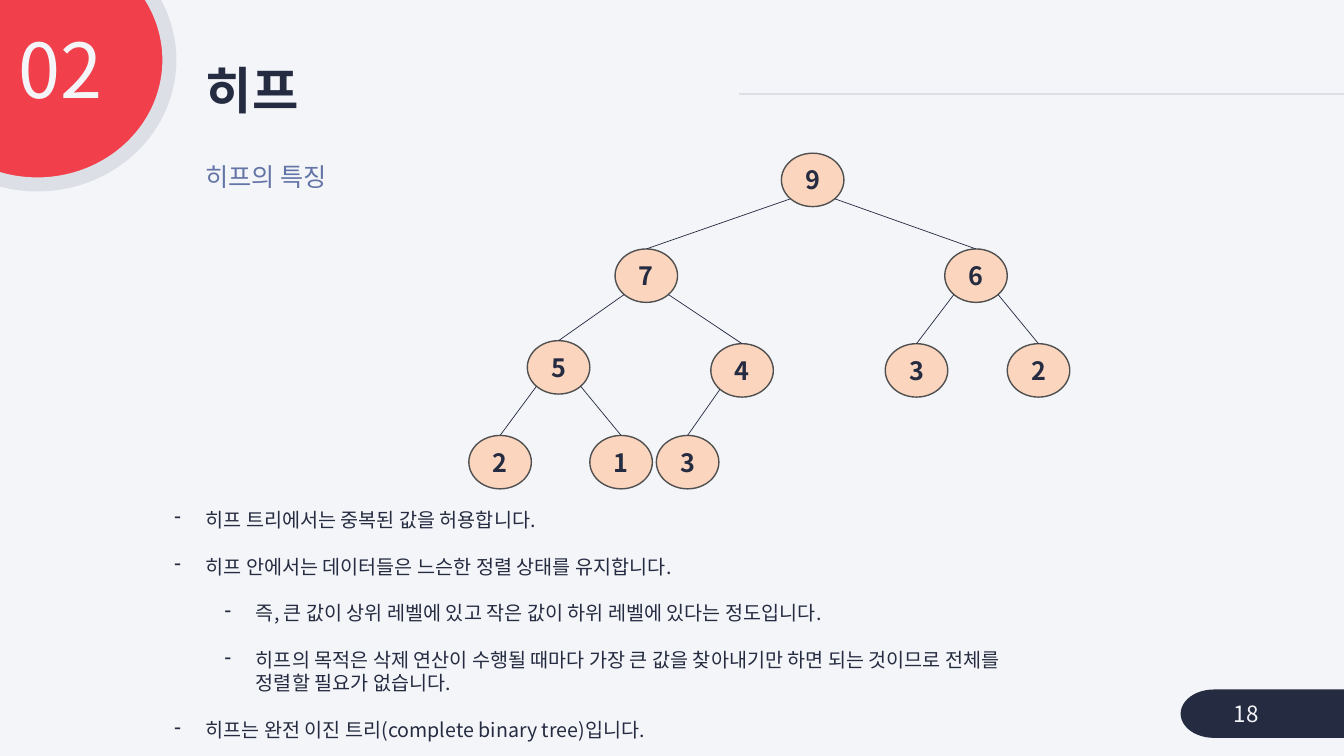
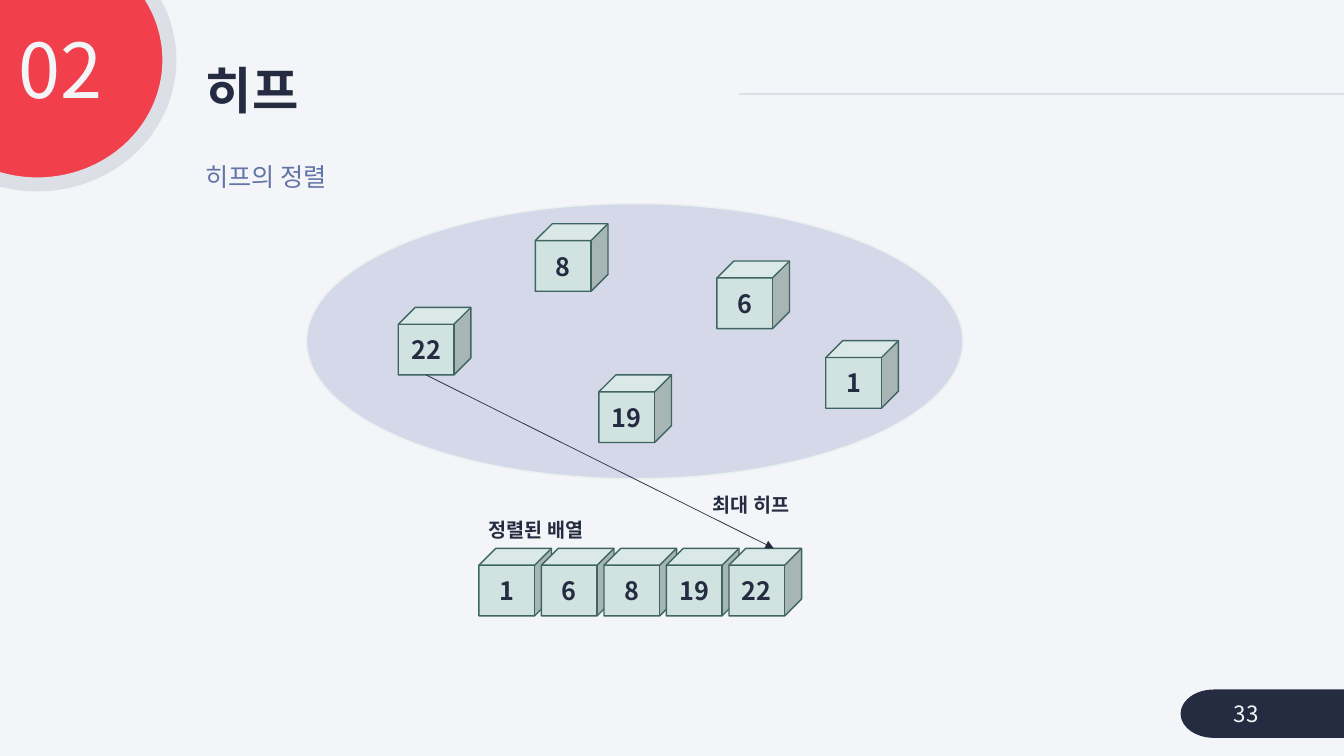
from lxml import etree
from pptx import Presentation
from pptx import util as u
from pptx.dml.color import RGBColor
from pptx.enum import shapes, text
from pptx.oxml import ns

FONT = "Noto Sans CJK KR"
PALE, RED, GRAY, NAVY, BLUE = "F4F5F9", "F1404B", "DDDFE6", "252C41", "6374A6"
PEACH, RIM = "FBD5BD", "505050"
MINT, PINE, LILAC, FROST = "D1E3E1", "3E6561", "D4D8E8", "E8F1F0"
WIDE, HIGH = 13.33, 7.5

KIND = shapes.MSO_SHAPE
LEFT, MID, RIGHT = text.PP_ALIGN.LEFT, text.PP_ALIGN.CENTER, text.PP_ALIGN.RIGHT

# Heap in array order: value, centre x, top y
HEAP = [
    (9, 8.06, 1.52),
    (7, 6.41, 2.47), (6, 9.68, 2.47),
    (5, 5.54, 3.38), (4, 7.36, 3.41), (3, 9.09, 3.41), (2, 10.3, 3.41),
    (2, 4.96, 4.32), (1, 6.16, 4.32), (3, 6.82, 4.32),
]
NODE = (0.62, 0.53)

# Bullets: level, text
NOTES = [
    (0, "히프 트리에서는 중복된 값을 허용합니다."),
    (0, "히프 안에서는 데이터들은 느슨한 정렬 상태를 유지합니다."),
    (1, "즉, 큰 값이 상위 레벨에 있고 작은 값이 하위 레벨에 있다는 정도입니다."),
    (1, "히프의 목적은 삭제 연산이 수행될 때마다 가장 큰 값을 찾아내기만 하면 "
        "되는 것이므로 전체를 정렬할 필요가 없습니다."),
    (0, "히프는 완전 이진 트리(complete binary tree)입니다."),
]

# Loose cubes: value, left, top
LOOSE = [(22, 3.95, 3.05), (8, 5.31, 2.22), (19, 5.94, 3.72),
         (6, 7.11, 2.59), (1, 8.19, 3.38)]
CUBE = (0.72, 0.67)
ROW = (4.75, 5.44)
STEP = 0.62
LABELS = [("최대 히프", 6.97, 4.84, 1.06), ("정렬된 배열", 4.75, 5.08, 1.25)]


def rgb(code):
    return RGBColor.from_string(code)


def inch(*nums):
    return [u.Inches(n) for n in nums]


def style(par, size, color=NAVY, bold=False, align=LEFT):
    par.alignment = align
    for run in par.runs:
        font = run.font
        font.size, font.bold, font.name = u.Pt(size), bold, FONT
        font.color.rgb = rgb(color)
        east = etree.SubElement(run._r.get_or_add_rPr(), ns.qn("a:ea"))
        east.set("typeface", FONT)


def label(slide, words, box, size, color=NAVY, bold=False, align=LEFT, wrap=True):
    frame = slide.shapes.add_textbox(*inch(*box)).text_frame
    frame.word_wrap = wrap
    frame.vertical_anchor = text.MSO_ANCHOR.MIDDLE
    frame.text = words
    style(frame.paragraphs[0], size, color, bold, align)


def shape(slide, kind, box, fill, line=None, width=1, words=""):
    item = slide.shapes.add_shape(kind, *inch(*box))
    item.shadow.inherit = False
    item.fill.solid()
    item.fill.fore_color.rgb = rgb(fill)
    if line:
        item.line.color.rgb = rgb(line)
        item.line.width = u.Pt(width)
    else:
        item.line.fill.background()
    if words:
        frame = item.text_frame
        frame.margin_left = frame.margin_right = 0
        frame.margin_top = frame.margin_bottom = 0
        frame.vertical_anchor = text.MSO_ANCHOR.MIDDLE
        frame.text = words
        style(frame.paragraphs[0], 18, bold=True, align=MID)
    return item


def line(slide, start, end, color=NAVY, width=0.5, arrow=False):
    item = slide.shapes.add_connector(
        shapes.MSO_CONNECTOR.STRAIGHT, *inch(*start, *end))
    item.line.color.rgb = rgb(color)
    item.line.width = u.Pt(width)
    if arrow:
        tail = etree.SubElement(item.line._get_or_add_ln(), ns.qn("a:tailEnd"))
        tail.set("type", "triangle")
    etree.SubElement(item._element.spPr, ns.qn("a:effectLst"))
    return item


def page(prs, topic, number):
    """Add a slide with the shared title, badge, rule and page number."""
    slide = prs.slides.add_slide(prs.slide_layouts[5])
    line(slide, (WIDE * 0.55, 0.93), (WIDE, 0.93), GRAY, 1.5)
    shape(slide, KIND.OVAL, (-0.94, -0.64, 2.62, 2.47), RED, GRAY, 10)
    shape(slide, KIND.FLOWCHART_TERMINATOR, (11.71, 6.84, 2.05, 0.48), NAVY)
    title = slide.shapes.title
    title.left, title.top, title.width, title.height = inch(1.94, 0.59, 5.39, 0.67)
    frame = title.text_frame
    frame.vertical_anchor = text.MSO_ANCHOR.MIDDLE
    frame.text = "히프"
    frame.paragraphs[0].line_spacing = 0.9
    style(frame.paragraphs[0], 36, bold=True)
    label(slide, "02", (-0.11, 0.22, 1.22, 0.92), 54, PALE, align=RIGHT)
    label(slide, number, (12.14, 6.88, 1.09, 0.4), 16, PALE)
    label(slide, topic, (1.94, 1.55, 4.25, 0.4), 18, BLUE)
    return slide


def tree(slide):
    wide, high = NODE
    nodes = [shape(slide, KIND.OVAL, (x - wide / 2, y, wide, high), PEACH, RIM,
                   words=str(value)) for value, x, y in HEAP]
    slant = 0.5 ** 0.5
    for kid in range(1, len(HEAP)):
        _, x, y = HEAP[(kid - 1) // 2]
        side = -1 if kid % 2 else 1
        start = (x + side * slant * wide / 2, y + (1 + slant) * high / 2)
        edge = line(slide, start, HEAP[kid][1:])
        edge.end_connect(nodes[kid], 0)


def bullets(slide):
    frame = slide.shapes.add_textbox(*inch(1.63, 4.99, 8.58, 2.46)).text_frame
    frame.word_wrap = True
    for i, (level, words) in enumerate(NOTES):
        par = frame.add_paragraph() if i else frame.paragraphs[0]
        par.text = words
        par.level = level
        par.line_spacing = u.Pt(16.5)
        if i:
            par.space_before = u.Pt(17)
        props = par._p.get_or_add_pPr()
        props.set("marL", str(u.Inches(0.31 + level * 0.5)))
        props.set("indent", str(u.Inches(-0.31)))
        etree.SubElement(props, ns.qn("a:buChar")).set("char", "-")
        style(par, 14)


def sorting(slide):
    shape(slide, KIND.OVAL, (3.04, 2.02, 6.51, 2.73), LILAC, FROST)
    left, top = ROW
    values = sorted(value for value, _, _ in LOOSE)
    row = [(value, left + i * STEP, top) for i, value in enumerate(values)]
    for value, x, y in LOOSE + row:
        shape(slide, KIND.CUBE, (x, y, *CUBE), MINT, PINE, words=str(value))
    wide, high = CUBE
    depth = high / 4
    _, x, y = LOOSE[0]
    _, goal, roof = row[-1]
    line(slide, (x + (wide - depth) / 2, y + high),
         (goal + (wide + depth) / 2, roof), arrow=True)
    for words, x, y, span in LABELS:
        label(slide, words, (x, y, span, 0.34), 14, bold=True, wrap=False)


def main():
    prs = Presentation()
    prs.slide_width, prs.slide_height = inch(WIDE, HIGH)
    back = prs.slide_master.background.fill
    back.solid()
    back.fore_color.rgb = rgb(PALE)
    first = page(prs, "히프의 특징", "18")
    tree(first)
    bullets(first)
    sorting(page(prs, "히프의 정렬", "33"))
    prs.save("out.pptx")


if __name__ == "__main__":
    main()
